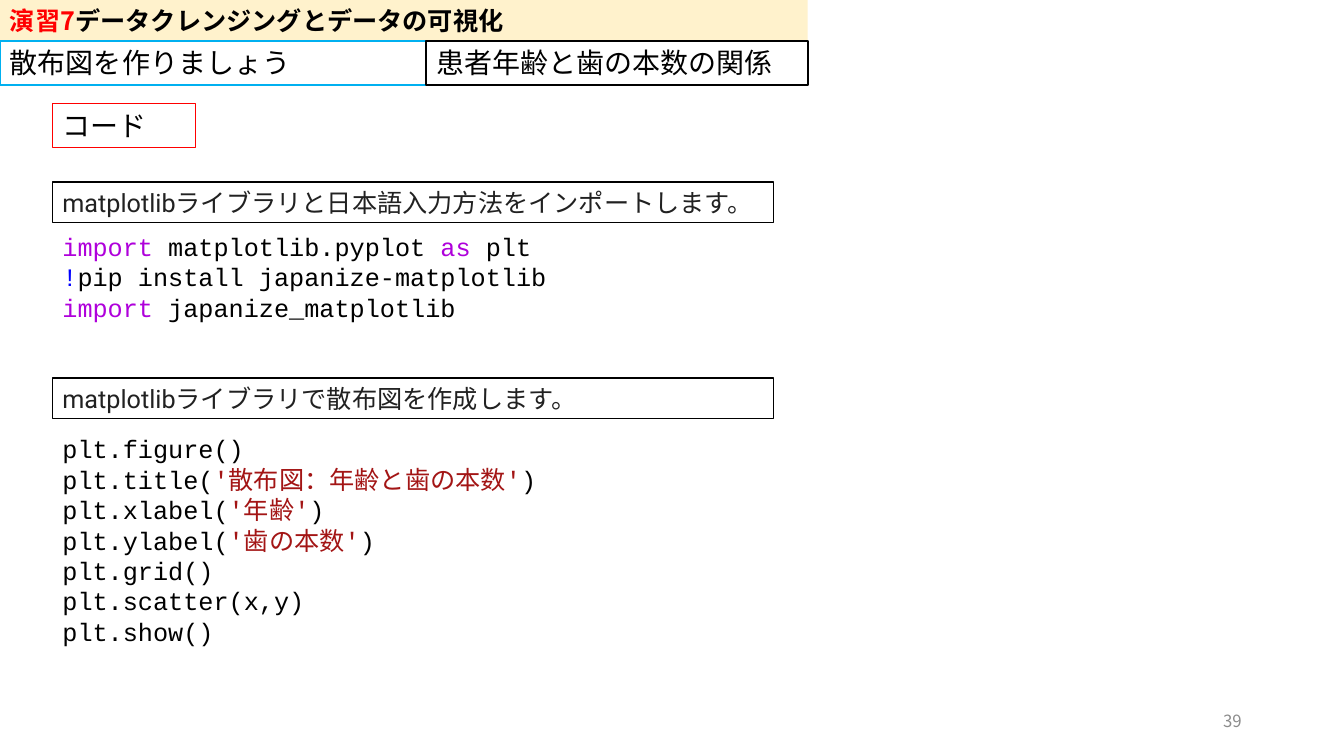
from lxml.etree import SubElement
from pptx import Presentation
from pptx.dml.color import RGBColor
from pptx.enum.shapes import MSO_SHAPE
from pptx.enum.text import MSO_ANCHOR, PP_ALIGN
from pptx.oxml.ns import qn
from pptx.util import Pt

COLORS = {
    "black": "000000", "ink": "212121", "red": "FF0000", "cyan": "00B0F0",
    "cream": "FFF2CC", "gray": "8C8C8C", "keyword": "AF00DB",
    "magic": "0000FF", "string": "A31515",
}
SANS, MONO, LATIN = "Noto Sans CJK JP", "Courier New", "Roboto"


class SlideBuilder:
    """Draws styled elements on one slide; lengths are in points."""

    def __init__(self, slide):
        self.s = slide

    def color(self, name):
        return RGBColor.from_string(COLORS[name])

    def fill_paragraph(self, p, runs, size, font, bold=False, align=PP_ALIGN.LEFT):
        p.alignment = align
        p.font.size, p.font.name, p.font.bold = Pt(size), font, bold
        east_asian = SubElement(p.font._element, qn("a:ea"))
        east_asian.set("typeface", SANS)
        for text, color in runs:
            r = p.add_run()
            r.text = text
            r.font.color.rgb = self.color(color)

    def box(self, x, y, w, h, runs, size, font=SANS, bold=False,
            fill=None, line=None, weight=0.75):
        sp = self.s.shapes.add_shape(MSO_SHAPE.RECTANGLE, Pt(x), Pt(y), Pt(w), Pt(h))
        sp.shadow.inherit = False
        if fill:
            sp.fill.solid()
            sp.fill.fore_color.rgb = self.color(fill)
        else:
            sp.fill.background()
        if line:
            sp.line.color.rgb = self.color(line)
            sp.line.width = Pt(weight)
        else:
            sp.line.fill.background()
        tf = sp.text_frame
        tf.word_wrap = True
        tf.vertical_anchor = MSO_ANCHOR.MIDDLE
        self.fill_paragraph(tf.paragraphs[0], runs, size, font, bold)

    def text(self, x, y, w, h, lines, size, font, align, anchor=MSO_ANCHOR.TOP,
             spacing=None):
        tf = self.s.shapes.add_textbox(Pt(x), Pt(y), Pt(w), Pt(h)).text_frame
        tf.word_wrap = True
        tf.vertical_anchor = anchor
        for i, runs in enumerate(lines):
            p = tf.add_paragraph() if i else tf.paragraphs[0]
            if spacing:
                p.line_spacing = Pt(spacing)
            self.fill_paragraph(p, runs, size, font, align=align)

    def code(self, x, y, w, h, lines):
        self.text(x, y, w, h, lines, 18, MONO, PP_ALIGN.JUSTIFY, spacing=21.75)


def main():
    prs = Presentation()
    prs.slide_width, prs.slide_height = Pt(960), Pt(540)
    b = SlideBuilder(prs.slides.add_slide(prs.slide_layouts[6]))

    # Page number
    b.text(678, 500.5, 216, 28.75, [[("39", "gray")]], 12, SANS,
           PP_ALIGN.RIGHT, MSO_ANCHOR.MIDDLE)

    # Header band and the two subtitles under it
    header_w, header_h, topic_w, label_h = 577, 29, 304.5, 31.5
    b.box(0, 0, header_w, header_h,
          [("演習7", "red"), ("データクレンジングとデータの可視化", "black")],
          18, bold=True, fill="cream")
    b.box(0, header_h, topic_w, label_h, [("散布図を作りましょう", "black")],
          20, line="cyan", weight=1.5)
    b.box(topic_w, header_h, header_w - topic_w, label_h,
          [("患者年齢と歯の本数の関係", "black")], 20, line="black", weight=1.5)

    # Code label
    left = 37.5
    b.box(left, 74, 102.5, label_h, [("コード", "black")], 20, MONO, line="red")

    # Code listings
    b.code(left, 161.5, 391, 72.5, [
        [("import ", "keyword"), ("matplotlib.pyplot ", "black"),
         ("as ", "keyword"), ("plt", "black")],
        [("!", "magic"), ("pip install japanize-matplotlib", "black")],
        [("import ", "keyword"), ("japanize_matplotlib", "black")],
    ])
    labelled = [
        [(f"plt.{call}(", "black"), (f"'{label}'", "string"), (")", "black")]
        for call, label in [("title", "散布図：年齢と歯の本数"),
                            ("xlabel", "年齢"), ("ylabel", "歯の本数")]
    ]
    b.code(left, 306, 391, 160, [
        [("plt.figure()", "black")],
        *labelled,
        *([(call, "black")] for call in ("plt.grid()", "plt.scatter(x,y)", "plt.show()")),
    ])

    # Explanations above each listing
    for y, note in [(130, "matplotlibライブラリと日本語入力方法をインポートします。"),
                    (270, "matplotlibライブラリで散布図を作成します。")]:
        b.box(left, y, 515, header_h, [(note, "ink")], 18, LATIN, line="black")

    prs.save("out.pptx")


if __name__ == "__main__":
    main()
